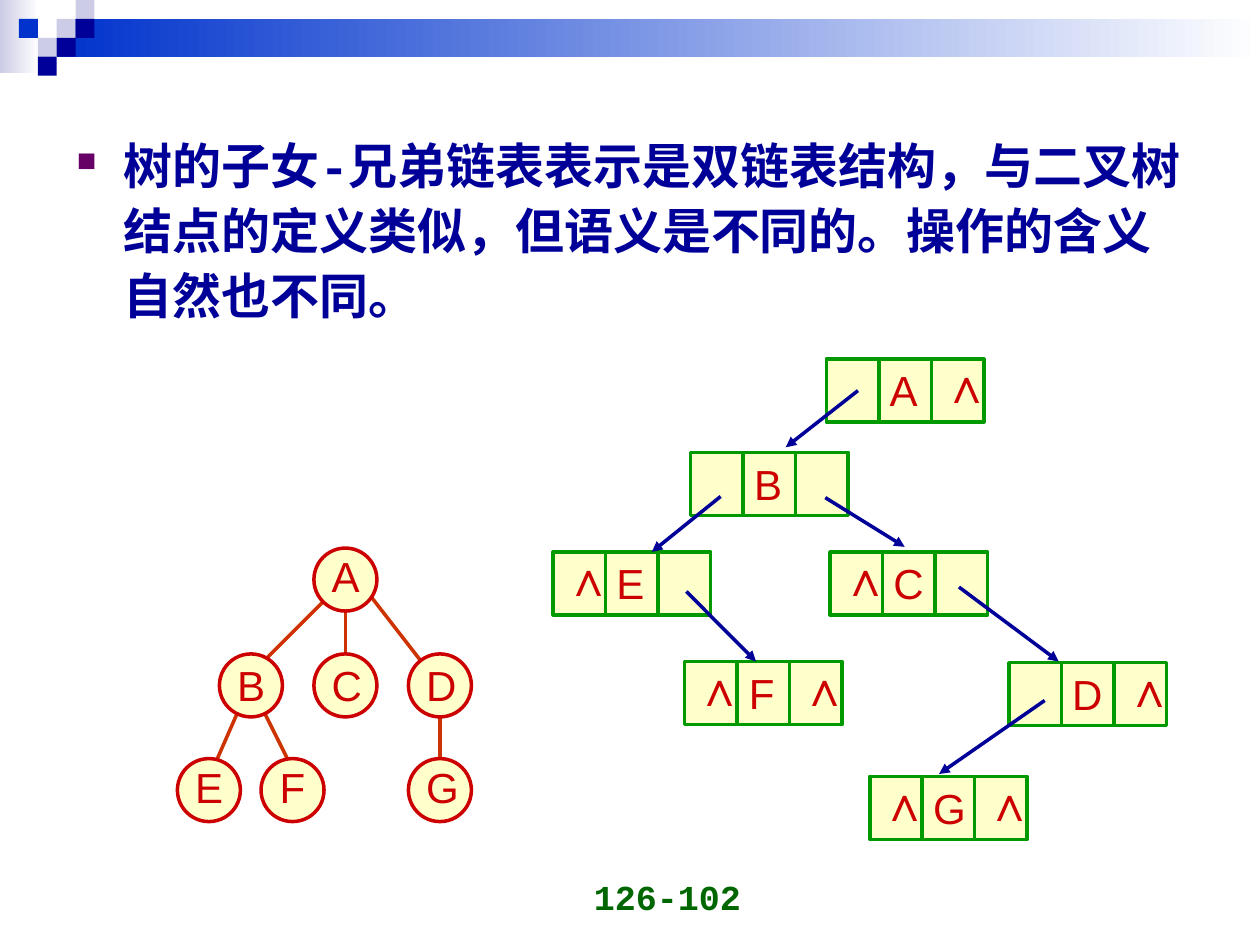
from lxml import etree
from pptx import Presentation
from pptx.dml.color import RGBColor
from pptx.enum import shapes, text
from pptx.oxml.ns import qn
from pptx.util import Pt

COLOURS = {
    "navy": "000099", "blue": "0033CC", "lilac": "CCCCE6", "white": "FFFFFF",
    "cream": "FFFFCC", "red": "CC0000", "rust": "CC3300", "green": "009900",
    "dark green": "006600", "purple": "660066",
}
KIND = shapes.MSO_SHAPE
TILE = 10.8                 # side of a header square
CIRCLE = 36                 # diameter of a tree node
CELL, NODE_HEIGHT = 30, 36  # one of three fields of a list node

HEADER_TILES = [  # column, row, colour
    (3, 1, "lilac"), (4, 0, "lilac"), (4, 1, "navy"), (2, 2, "lilac"),
    (1, 1, "blue"), (3, 2, "navy"), (2, 3, "navy"),
]
TREE_NODES = {  # centre x, centre y, lift of the letter
    "A": (197.4, 331.2, 2.2), "B": (143.4, 391.7, 0.7),
    "C": (197.4, 391.7, 0.7), "D": (251.4, 391.7, 0.7),
    "E": (119.4, 451.5, 2.2), "F": (167.2, 451.5, 2.2),
    "G": (251.4, 451.5, 2.2),
}
TREE_EDGES = [
    (251.4, 403.2, 251.4, 445.7), (209.5, 337.7, 251.4, 391.7),
    (149.1, 403.2, 167.1, 439.2), (137.5, 403.2, 121.7, 439.2),
    (185, 343.5, 149.1, 379.5), (197.4, 343.5, 197.4, 379.5),
]
LIST_NODES = {  # left, top, columns that hold a null link
    "A": (472.2, 205.2, [2]), "B": (394.7, 258.5, []),
    "E": (316.1, 315.4, [0]), "C": (474.3, 315.4, [0]),
    "D": (576.5, 378.7, [2]), "G": (497, 443.7, [0, 2]),
    "F": (391.2, 378, [0, 2]),
}
LINKS = [
    (490.3, 223.2, 449, 255.6), (411.8, 283.7, 372.5, 315.4),
    (597, 400.3, 536.6, 442.3), (392.2, 338, 432, 378),
    (471.6, 284.4, 517, 312.5), (548, 335.5, 605, 378),
]


def rgb(name):
    return RGBColor.from_string(COLOURS[name])


def set_all(target, values):
    for name, value in values.items():
        setattr(target, name, value)


def add_span(para, words, colour, **font):
    span = para.add_run()
    span.text = words
    set_all(span.font, font)
    span.font.color.rgb = rgb(colour)


def add_box(page, left, top, width, height, **frame):
    box = page.shapes.add_textbox(Pt(left), Pt(top), Pt(width), Pt(height))
    set_all(box.text_frame, {"word_wrap": True, **frame})
    return box.text_frame.paragraphs[0]


def add_label(page, words, x, y, width, height, wrap=False, **font):
    """Red label centred on x, y."""
    para = add_box(page, x - width / 2, y - height / 2, width, height,
                   word_wrap=wrap, vertical_anchor=text.MSO_ANCHOR.MIDDLE,
                   auto_size=text.MSO_AUTO_SIZE.SHAPE_TO_FIT_TEXT)
    para.alignment = text.PP_ALIGN.CENTER
    add_span(para, words, "red", name="Arial", **font)


def add_letter(page, letter, x, y):
    add_label(page, letter, x, y, 30, 36, size=Pt(24))


def add_shape(page, kind, left, top, width, height, fill, line=None, fade=False):
    shape = page.shapes.add_shape(kind, Pt(left), Pt(top), Pt(width), Pt(height))
    shape.shadow.inherit = False
    if fade:
        shape.fill.gradient()
        shape.fill.gradient_angle = 0
        for stop, colour in zip(shape.fill.gradient_stops, (fill, "white")):
            stop.color.rgb = rgb(colour)
    else:
        shape.fill.solid()
        shape.fill.fore_color.rgb = rgb(fill)
    if line:
        shape.line.color.rgb = rgb(line)
        shape.line.width = Pt(2)
    else:
        shape.line.fill.background()


def add_line(page, ends, colour, arrow=False):
    line = page.shapes.add_connector(shapes.MSO_CONNECTOR.STRAIGHT, *map(Pt, ends))
    line.line.color.rgb = rgb(colour)
    line.line.width = Pt(2)
    if arrow:
        etree.SubElement(line.line._get_or_add_ln(), qn("a:tailEnd"), type="triangle")
    etree.SubElement(line._element.spPr, qn("a:effectLst"))


def add_header(page):
    add_shape(page, KIND.RECTANGLE, 0, 0, 22.3, 41.8, "lilac", fade=True)
    add_shape(page, KIND.RECTANGLE, 3 * TILE, TILE, 687.6, 2 * TILE, "blue", fade=True)
    for column, row, colour in HEADER_TILES:
        add_shape(page, KIND.RECTANGLE, column * TILE, row * TILE, TILE, TILE, colour)


def add_statement(page):
    para = add_box(page, 36.7, 70.7, 648, 131)
    para.line_spacing = 1.1
    # Square bullet with a hanging indent
    props = para._p.get_or_add_pPr()
    props.set("marL", str(Pt(27)))
    props.set("indent", str(Pt(-27)))
    tint = etree.SubElement(props, qn("a:buClr"))
    etree.SubElement(tint, qn("a:srgbClr"), val=COLOURS["purple"])
    etree.SubElement(props, qn("a:buSzPct"), val="55000")
    etree.SubElement(props, qn("a:buChar"), char="■")
    for words, font in [
        ("树的子女", "Arial"),
        ("-", "Courier New"),
        ("兄弟链表表示是双链表结构，与二叉树结点的定义类似，"
         "但语义是不同的。操作的含义自然也不同。", "Arial"),
    ]:
        add_span(para, words, "navy", name=font, size=Pt(28), bold=True)


def add_tree(page):
    for ends in TREE_EDGES:
        add_line(page, ends, "rust")
    for letter, (x, y, lift) in TREE_NODES.items():
        add_shape(page, KIND.OVAL, x - CIRCLE / 2, y - CIRCLE / 2,
                  CIRCLE, CIRCLE, "cream", "red")
        add_letter(page, letter, x, y - lift)


def add_linked_list(page):
    for left, top, _ in LIST_NODES.values():
        add_shape(page, KIND.RECTANGLE, left, top, 3 * CELL, NODE_HEIGHT, "cream", "green")
        for x in (left + CELL, left + 2 * CELL):
            add_line(page, (x, top, x, top + NODE_HEIGHT), "green")
    for ends in LINKS:
        add_line(page, ends, "navy", arrow=True)
    for letter, (left, top, nulls) in LIST_NODES.items():
        middle = top + NODE_HEIGHT / 2
        add_letter(page, letter, left + 1.47 * CELL, middle - 0.3)
        for column in nulls:
            add_label(page, "∧", left + (column + 0.53) * CELL, middle - 3.6,
                      33.1, 41, wrap=True, size=Pt(28), bold=True)


def add_page_number(page):
    para = add_box(page, 262.8, 491.8, 167.8, 36,
                   vertical_anchor=text.MSO_ANCHOR.BOTTOM)
    para.alignment = text.PP_ALIGN.RIGHT
    add_span(para, "126-102", "dark green", name="Courier New", size=Pt(20), bold=True)


def main():
    deck = Presentation()
    set_all(deck, {"slide_width": Pt(720), "slide_height": Pt(540)})
    page = deck.slides.add_slide(deck.slide_layouts[6])
    add_header(page)
    add_page_number(page)
    add_tree(page)
    add_linked_list(page)
    add_statement(page)
    deck.save("out.pptx")


if __name__ == "__main__":
    main()
